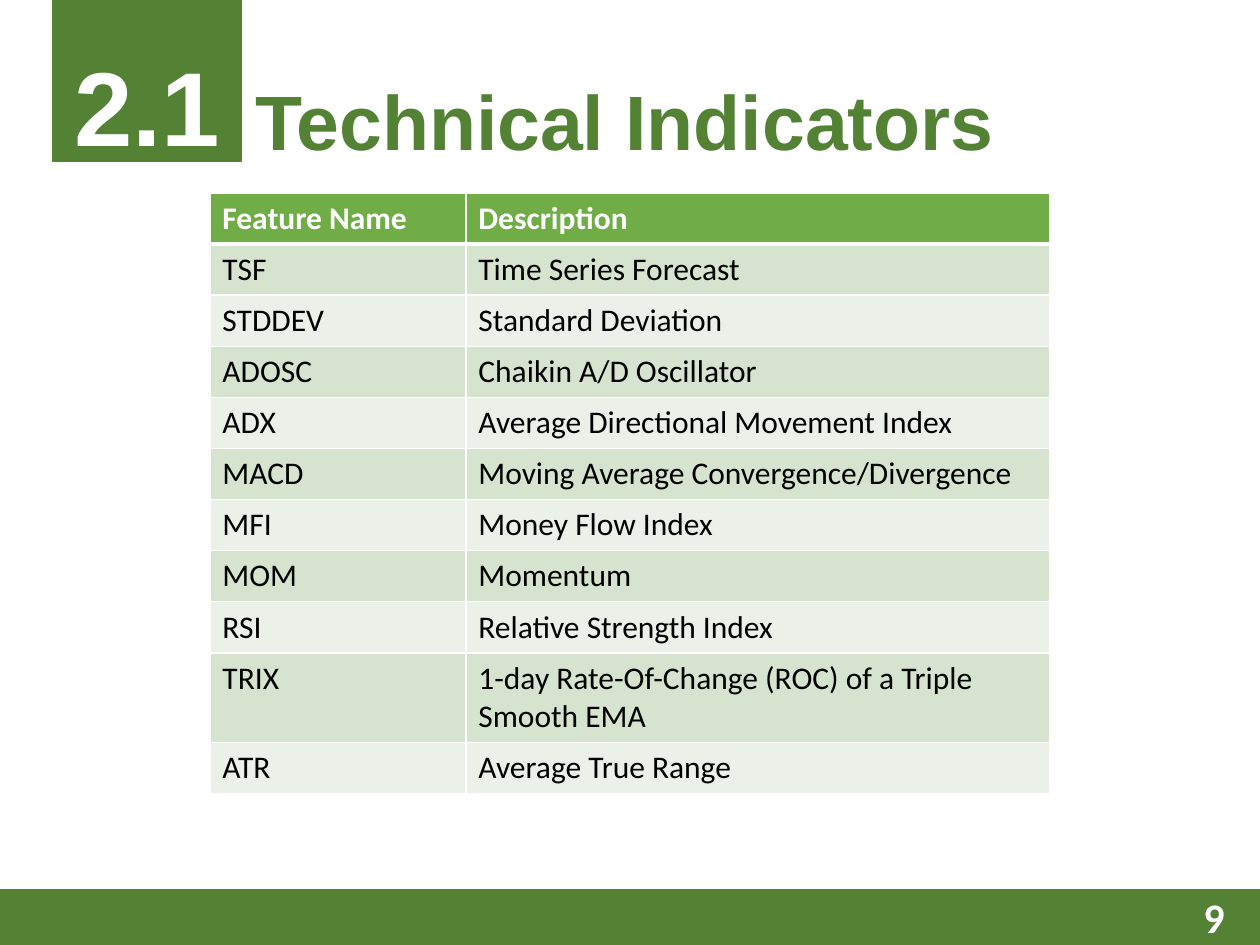
from lxml import etree
from pptx import Presentation
from pptx.dml.color import RGBColor
from pptx.enum.shapes import MSO_SHAPE
from pptx.enum.text import MSO_ANCHOR, PP_ALIGN
from pptx.oxml.ns import qn
from pptx.util import Cm, Pt

DARK_GREEN = RGBColor(0x54, 0x82, 0x35)
HEADER_GREEN = RGBColor(0x70, 0xAD, 0x47)
BAND_GREENS = (RGBColor(0xD5, 0xE3, 0xCF), RGBColor(0xEB, 0xF1, 0xE9))
WHITE = RGBColor(0xFF, 0xFF, 0xFF)
BLACK = RGBColor(0, 0, 0)

SLIDE_WIDTH, SLIDE_HEIGHT = Cm(25.4), Cm(19.05)
FOOTER_HEIGHT = Cm(1.12)

HEADING_FORMAT = {"name": "Arial", "size": Pt(44), "bold": True}
SECTION_FORMAT = {"name": "Arial", "size": Pt(60), "bold": True}
PAGE_FORMAT = {"name": "Calibri", "size": Pt(24), "bold": True}
HEADER_FORMAT = {"name": "Calibri", "size": Pt(18), "bold": True}
BODY_FORMAT = {"name": "Calibri", "size": Pt(18), "bold": False}

INDICATORS = [
    ("Feature Name", "Description"),
    ("TSF", "Time Series Forecast"),
    ("STDDEV", "Standard Deviation"),
    ("ADOSC", "Chaikin A/D Oscillator"),
    ("ADX", "Average Directional Movement Index"),
    ("MACD", "Moving Average Convergence/Divergence"),
    ("MFI", "Money Flow Index"),
    ("MOM", "Momentum"),
    ("RSI", "Relative Strength Index"),
    ("TRIX", "1-day Rate-Of-Change (ROC) of a Triple Smooth EMA"),
    ("ATR", "Average True Range"),
]


def set_attributes(target, values):
    for name, value in values.items():
        setattr(target, name, value)


def write_text(text_frame, text, font_format, color, alignment=PP_ALIGN.LEFT):
    paragraph = text_frame.paragraphs[0]
    paragraph.alignment = alignment
    run = paragraph.add_run()
    run.text = text
    set_attributes(run.font, font_format)
    run.font.color.rgb = color


def add_block(slide, left, top, width, height):
    shape = slide.shapes.add_shape(MSO_SHAPE.RECTANGLE, left, top, width, height)
    shape.shadow.inherit = False
    shape.fill.solid()
    shape.fill.fore_color.rgb = DARK_GREEN
    shape.line.color.rgb = DARK_GREEN
    shape.line.width = Pt(1)
    return shape


def add_heading(slide, left, top, width, height):
    # Section number, set low in its block
    block_width = Cm(3.81)
    block = add_block(slide, left, top, block_width, height)
    set_attributes(block.text_frame, {
        "vertical_anchor": MSO_ANCHOR.MIDDLE,
        "margin_top": Cm(0.96),
        "margin_bottom": 0,
    })
    write_text(block.text_frame, "2.1", SECTION_FORMAT, WHITE, PP_ALIGN.CENTER)

    # Title to the right of the block
    title = slide.shapes.title
    set_attributes(title, {
        "left": left + block_width + Cm(0.02),
        "top": top + Cm(1.35),
        "width": width - block_width - Cm(0.02),
        "height": Cm(2.13),
    })
    title.text_frame.vertical_anchor = MSO_ANCHOR.TOP
    write_text(title.text_frame, "Technical Indicators", HEADING_FORMAT, DARK_GREEN)


def set_borders(cell, bottom_width):
    properties = cell._tc.get_or_add_tcPr()
    widths = {"a:lnL": 1, "a:lnR": 1, "a:lnT": 1, "a:lnB": bottom_width}
    for position, (tag, width) in enumerate(widths.items()):
        line = etree.Element(qn(tag), w=str(Pt(width)))
        fill = etree.SubElement(line, qn("a:solidFill"))
        etree.SubElement(fill, qn("a:srgbClr"), val=str(WHITE))
        properties.insert(position, line)


def add_indicator_table(slide, left, top, width, row_height):
    row_count = len(INDICATORS)
    table = slide.shapes.add_table(
        row_count, 2, left, top, width, row_height * row_count).table
    name_width = Cm(5.16)
    table.columns[0].width = name_width
    table.columns[1].width = width - name_width

    for row_index, values in enumerate(INDICATORS):
        is_header = row_index == 0
        fill_color = HEADER_GREEN if is_header else BAND_GREENS[(row_index - 1) % 2]
        for column_index, value in enumerate(values):
            cell = table.cell(row_index, column_index)
            cell.fill.solid()
            cell.fill.fore_color.rgb = fill_color
            set_borders(cell, 3 if is_header else 1)
            write_text(cell.text_frame, value,
                       HEADER_FORMAT if is_header else BODY_FORMAT,
                       WHITE if is_header else BLACK)


def add_footer(slide, left, top, width, height):
    add_block(slide, left, top, width, height)

    # Page number at the right end of the bar
    number_width, number_height = Cm(5.28), Cm(1.32)
    number = slide.shapes.add_textbox(
        left + width - number_width - Cm(0.46), top - Cm(0.1),
        number_width, number_height)
    set_attributes(number.text_frame, {
        "word_wrap": True,
        "vertical_anchor": MSO_ANCHOR.MIDDLE,
    })
    write_text(number.text_frame, "9", PAGE_FORMAT, WHITE, PP_ALIGN.RIGHT)


def main():
    presentation = Presentation()
    presentation.slide_width = SLIDE_WIDTH
    presentation.slide_height = SLIDE_HEIGHT
    slide = presentation.slides.add_slide(presentation.slide_layouts[5])

    add_heading(slide, Cm(1.06), 0, Cm(19.6), Cm(3.25))
    table_width = Cm(16.94)
    add_indicator_table(slide, (SLIDE_WIDTH - table_width) // 2, Cm(3.89),
                        table_width, Cm(1.03))
    add_footer(slide, 0, SLIDE_HEIGHT - FOOTER_HEIGHT, SLIDE_WIDTH, FOOTER_HEIGHT)
    presentation.save("out.pptx")


if __name__ == "__main__":
    main()
